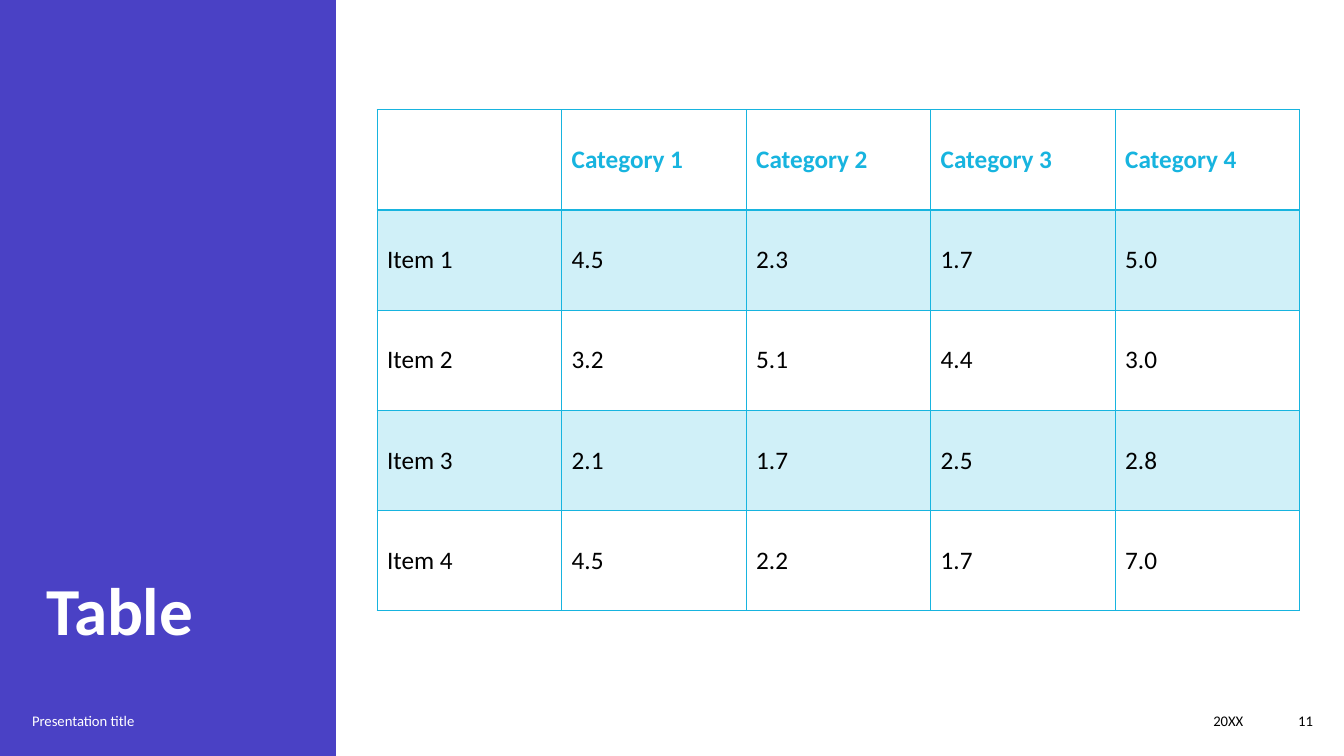
from lxml.etree import SubElement
from pptx import Presentation
from pptx.dml.color import RGBColor
from pptx.enum.shapes import MSO_SHAPE
from pptx.enum.text import MSO_ANCHOR, PP_ALIGN
from pptx.oxml.ns import qn
from pptx.util import Inches, Pt

PURPLE = RGBColor(0x4A, 0x41, 0xC5)
CYAN = RGBColor(0x17, 0xB4, 0xDF)
WHITE = RGBColor(0xFF, 0xFF, 0xFF)
BLACK = RGBColor(0x00, 0x00, 0x00)

WIDTH, HEIGHT = Inches(13.33), Inches(7.5)
PANEL_WIDTH = WIDTH // 4
FONT = "Calibri"
BAND_OPACITY = 20
ROWS = [
    ["", "Category 1", "Category 2", "Category 3", "Category 4"],
    ["Item 1", "4.5", "2.3", "1.7", "5.0"],
    ["Item 2", "3.2", "5.1", "4.4", "3.0"],
    ["Item 3", "2.1", "1.7", "2.5", "2.8"],
    ["Item 4", "4.5", "2.2", "1.7", "7.0"],
]


def write(text_frame, text, size, color, bold=False, align=PP_ALIGN.LEFT):
    text_frame.text = text
    paragraph = text_frame.paragraphs[0]
    paragraph.alignment = align
    for item in (paragraph, *paragraph.runs):
        item.font.name = FONT
        item.font.size = Pt(size)
        item.font.bold = bold
        item.font.color.rgb = color


def add_title_panel(slide, left, top, width, height):
    title = slide.shapes.title
    panel = slide.shapes.add_shape(MSO_SHAPE.RECTANGLE, left, top, width, height)
    panel.shadow.inherit = False
    panel.fill.solid()
    panel.fill.fore_color.rgb = PURPLE
    panel.line.fill.background()
    title.element.addprevious(panel.element)  # panel goes behind the title

    margin = Inches(0.36)
    title.left, title.top = left + margin, top + Inches(1.09)
    title.width, title.height = width - 2 * margin, Inches(5.41)
    frame = title.text_frame
    write(frame, "Table", 48, WHITE, bold=True)
    frame.word_wrap = True
    frame.vertical_anchor = MSO_ANCHOR.BOTTOM
    frame.paragraphs[0].line_spacing = 0.9
    frame.paragraphs[0].runs[0].font.fill.solid()
    frame.paragraphs[0].runs[0].font.color.rgb = WHITE
    frame.paragraphs[0].runs[0].font._element.set("spc", "-20")


def set_borders(cell, widths):
    """Draw cell borders; widths maps a side (L, R, T, B) to points."""
    properties = cell._tc.get_or_add_tcPr()
    for side, width in widths.items():
        line = SubElement(properties, qn(f"a:ln{side}"), w=str(Pt(width)))
        fill = SubElement(line, qn("a:solidFill"))
        SubElement(fill, qn("a:srgbClr"), val=str(CYAN))


def fill_band(cell):
    cell.fill.solid()
    cell.fill.fore_color.rgb = CYAN
    color = cell._tc.tcPr.find(qn("a:solidFill")).find(qn("a:srgbClr"))
    SubElement(color, qn("a:alpha"), val=str(BAND_OPACITY * 1000))


def add_data_table(slide, left, top, width, height):
    row_count, column_count = len(ROWS), len(ROWS[0])
    table = slide.shapes.add_table(
        row_count, column_count, left, top, width, height
    ).table
    table.first_row = table.horz_banding = False
    for row_index, values in enumerate(ROWS):
        is_header = row_index == 0
        for column_index, value in enumerate(values):
            cell = table.cell(row_index, column_index)
            cell.vertical_anchor = MSO_ANCHOR.MIDDLE
            write(cell.text_frame, value, 18, CYAN if is_header else BLACK, is_header)
            set_borders(cell, {
                "L": 1,
                "R": 1,
                "T": 2 if row_index == 1 else 1,
                "B": 2 if is_header else 1,
            })
            if row_index % 2:
                fill_band(cell)
            else:
                cell.fill.background()


def add_footer(slide, top, height):
    date_left, number_left = Inches(7.67), Inches(12.43)
    items = [
        ("Presentation title", Inches(0.22), Inches(3.03), WHITE, PP_ALIGN.LEFT),
        ("20XX", date_left, number_left - date_left, BLACK, PP_ALIGN.RIGHT),
        ("11", number_left, Inches(0.69), BLACK, PP_ALIGN.RIGHT),
    ]
    for text, left, width, color, align in items:
        frame = slide.shapes.add_textbox(left, top, width, height).text_frame
        frame.word_wrap = True
        frame.vertical_anchor = MSO_ANCHOR.MIDDLE
        write(frame, text, 10.5, color, align=align)


def main():
    presentation = Presentation()
    presentation.slide_width, presentation.slide_height = WIDTH, HEIGHT
    slide = presentation.slides.add_slide(
        presentation.slide_layouts.get_by_name("Title Only")
    )
    add_title_panel(slide, 0, 0, PANEL_WIDTH, HEIGHT)
    add_data_table(slide, Inches(3.74), Inches(1.09), Inches(9.15), Inches(4.97))
    add_footer(slide, Inches(6.95), Inches(0.4))
    presentation.save("out.pptx")


if __name__ == "__main__":
    main()
